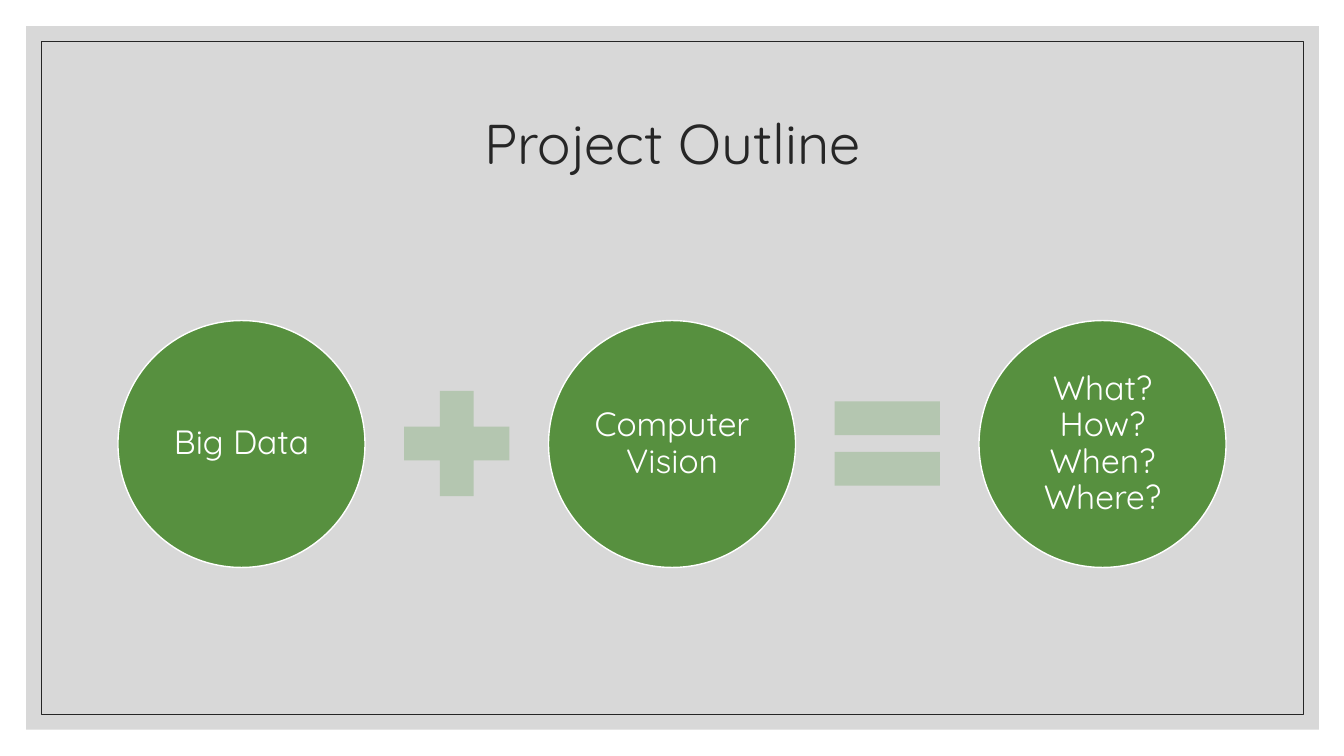
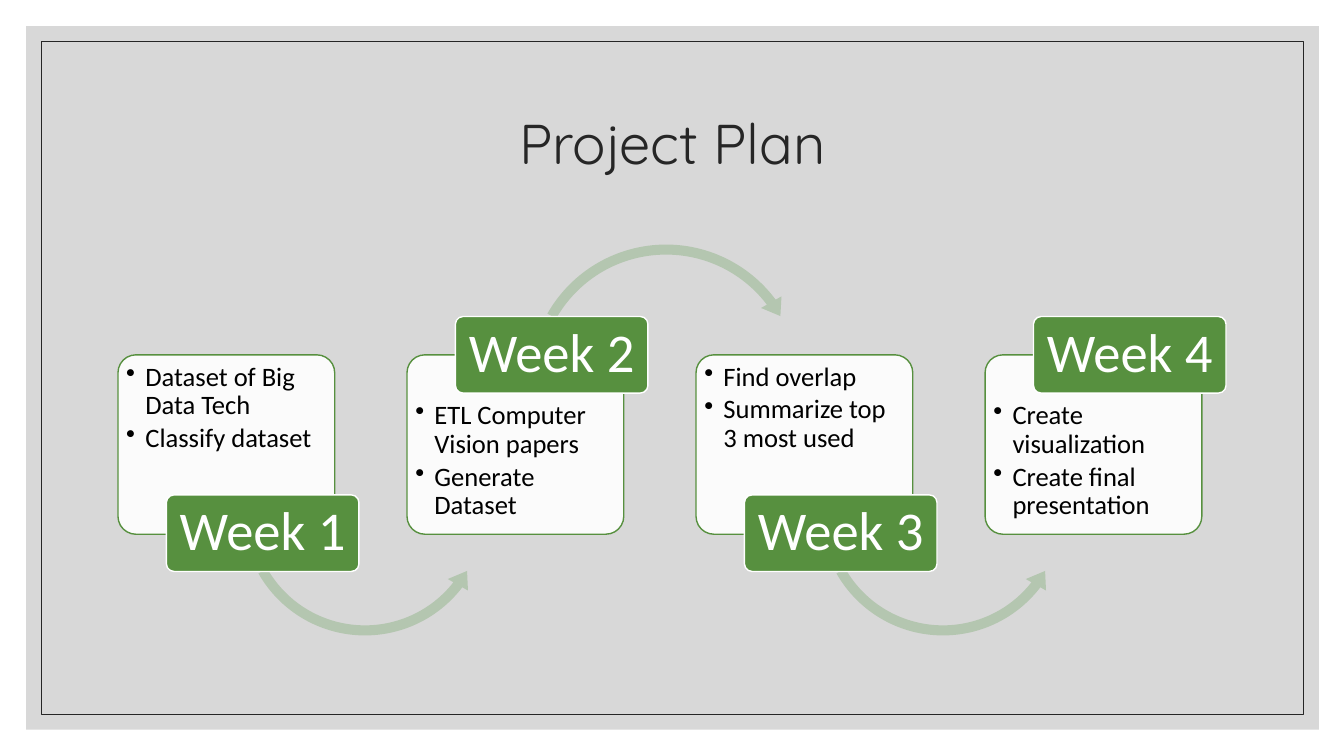
import pptx
import pptx.util
import pptx.dml.color
import pptx.enum.shapes
import pptx.enum.text
import pptx.oxml
import pptx.oxml.ns

Inches, Pt = pptx.util.Inches, pptx.util.Pt
RGBColor = pptx.dml.color.RGBColor
SHAPE = pptx.enum.shapes.MSO_SHAPE
ALIGN = pptx.enum.text.PP_ALIGN
ANCHOR = pptx.enum.text.MSO_ANCHOR
qn = pptx.oxml.ns.qn

# Colours and fonts
WHITE = RGBColor(0xFF, 0xFF, 0xFF)
BLACK = RGBColor(0x00, 0x00, 0x00)
INK = RGBColor(0x26, 0x26, 0x26)
GRAY = RGBColor(0xBF, 0xBF, 0xBF)
GREEN = RGBColor(0x57, 0x90, 0x3F)
PALE_GREEN = RGBColor(0xB4, 0xC6, 0xB0)
HEADING_FONT, BODY_FONT = "Quicksand", "Calibri"

# Text formats: font values and paragraph alignment
TITLE = {"font": {"name": HEADING_FONT, "size": Pt(40)}, "color": INK, "align": ALIGN.CENTER}
CIRCLE = {"font": {"name": HEADING_FONT, "size": Pt(24)}, "color": WHITE, "align": ALIGN.CENTER}
WEEK = {"font": {"name": BODY_FONT, "size": Pt(39)}, "color": WHITE, "align": ALIGN.CENTER}
TASK = {"font": {"name": BODY_FONT, "size": Pt(19)}, "color": BLACK, "align": ALIGN.LEFT,
        "bullet": True}


def add_figure(slide, kind, box, fill=None, opacity=None, line=None, width=1, adjust=()):
    figure = slide.shapes.add_shape(kind, *map(Inches, box))
    figure.shadow.inherit = False
    for position, value in enumerate(adjust):
        figure.adjustments[position] = value
    if fill is None:
        figure.fill.background()
    else:
        figure.fill.solid()
        figure.fill.fore_color.rgb = fill
    if opacity is not None:
        color = figure._element.spPr.find(qn("a:solidFill"))[0]
        color.append(pptx.oxml.parse_xml(
            f'<a:alpha {pptx.oxml.ns.nsdecls("a")} val="{opacity * 1000}"/>'))
    if line is None:
        figure.line.fill.background()
    else:
        figure.line.color.rgb = line
        figure.line.width = Pt(width)
    return figure


def write_text(figure, lines, style, margins, anchor=ANCHOR.MIDDLE):
    frame = figure.text_frame
    left, top, right, bottom = map(Inches, margins)
    frame_values = {"word_wrap": True, "vertical_anchor": anchor, "margin_left": left,
                    "margin_top": top, "margin_right": right, "margin_bottom": bottom}
    for name, value in frame_values.items():
        setattr(frame, name, value)
    for number, text in enumerate(lines):
        paragraph = frame.add_paragraph() if number else frame.paragraphs[0]
        paragraph.alignment = style["align"]
        paragraph.line_spacing = 0.9
        run = paragraph.add_run()
        run.text = text
        for name, value in style["font"].items():
            setattr(run.font, name, value)
        run.font.color.rgb = style["color"]
        if style.get("bullet"):
            paragraph.space_after = Pt(3)
            properties = paragraph._p.get_or_add_pPr()
            properties.set("marL", str(Inches(0.19)))
            properties.set("indent", str(-Inches(0.19)))
            properties.append(pptx.oxml.parse_xml(
                f'<a:buChar {pptx.oxml.ns.nsdecls("a")} char="•"/>'))


presentation = pptx.Presentation()
presentation.slide_width = Inches(13.33)
presentation.slide_height = Inches(7.5)

# Panel, frame and title shared by both slides
slides = []
for heading in ("Project Outline", "Project Plan"):
    slide = presentation.slides.add_slide(presentation.slide_layouts[6])
    add_figure(slide, SHAPE.RECTANGLE, (0.26, 0.26, 12.82, 6.98), GRAY, opacity=60)
    add_figure(slide, SHAPE.RECTANGLE, (0.41, 0.41, 12.52, 6.68), line=INK, width=0.5)
    title = slide.shapes.add_textbox(*map(Inches, (1.17, 0.7, 11, 1.5)))
    write_text(title, [heading], TITLE, (0.1, 0.05, 0.1, 0.05))
    slides.append(slide)
outline, plan = slides

# Outline: an equation of circles
LEFT = 1.17
equation = [("Big Data", SHAPE.MATH_PLUS),
            ("Computer Vision", SHAPE.MATH_EQUAL),
            ("What? How? When? Where?", None)]
for index, (term, operator) in enumerate(equation):
    term_left = LEFT + 4.27 * index
    circle = add_figure(outline, SHAPE.OVAL, (term_left, 3.18, 2.45, 2.45), GREEN, line=WHITE)
    write_text(circle, [term], CIRCLE, (0.03,) * 4)
    if operator is not None:
        add_figure(outline, operator, (term_left + 2.65, 3.69, 1.42, 1.42), PALE_GREEN)

# Plan: cards whose week labels alternate between bottom and top
weeks = [("Week 1", ["Dataset of Big Data Tech", "Classify dataset"]),
         ("Week 2", ["ETL Computer Vision papers", "Generate Dataset"]),
         ("Week 3", ["Find overlap", "Summarize top 3 most used"]),
         ("Week 4", ["Create visualization", "Create final presentation"])]
LOWER_ARROW = (0.039, 4.86, 22.615, 90.245, 0.045)
UPPER_ARROW = (0.035, 4.349, 193.896, 125.755, 0.041)
for index, (week, tasks) in enumerate(weeks):
    card_left = LEFT + 8.6 / 3 * index
    label_on_top = index % 2 == 1
    card = add_figure(plan, SHAPE.ROUNDED_RECTANGLE, (card_left, 3.52, 2.15, 1.78),
                      WHITE, opacity=90, line=GREEN, adjust=[0.1])
    write_text(card, tasks, TASK, (0.03, 0.41 if label_on_top else 0.03, 0.03, 0.03), ANCHOR.TOP)
    if index < len(weeks) - 1:
        if label_on_top:
            add_figure(plan, SHAPE.CIRCULAR_ARROW, (card_left + 1.15, 2.36, 2.84, 2.84),
                       PALE_GREEN, adjust=UPPER_ARROW)
        else:
            add_figure(plan, SHAPE.LEFT_CIRCULAR_ARROW, (card_left + 1.17, 3.81, 2.56, 2.56),
                       PALE_GREEN, adjust=LOWER_ARROW)
    label = add_figure(plan, SHAPE.ROUNDED_RECTANGLE,
                       (card_left + 0.48, 3.14 if label_on_top else 4.91, 1.91, 0.76),
                       GREEN, line=WHITE, adjust=[0.1])
    write_text(label, [week], WEEK, (0.08, 0.05, 0.08, 0.05))

presentation.save("out.pptx")
